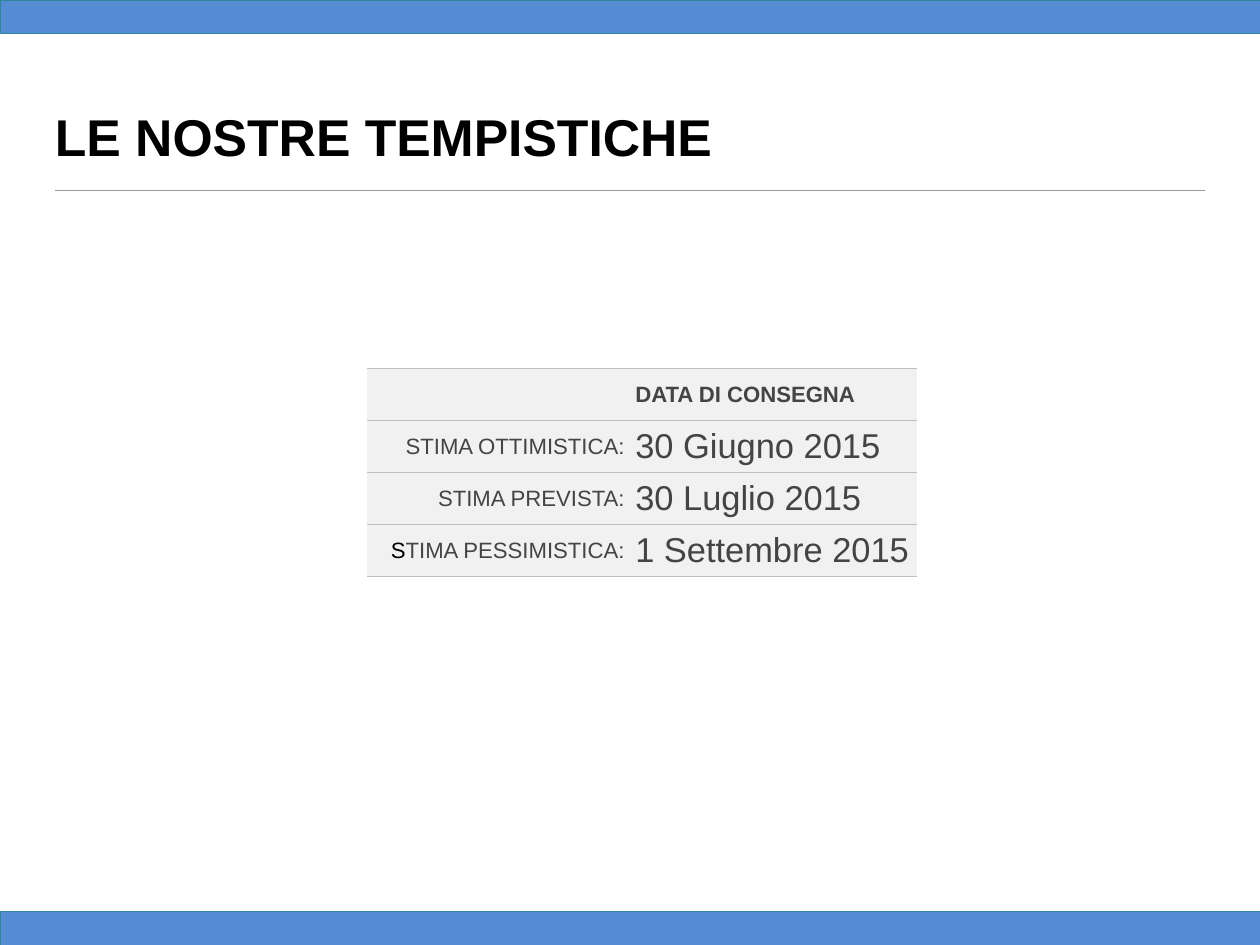
from lxml.etree import SubElement
from pptx import Presentation
from pptx.dml.color import RGBColor
from pptx.enum.shapes import MSO_CONNECTOR as Connector, MSO_SHAPE as Shape
from pptx.enum.text import MSO_ANCHOR as Anchor, PP_ALIGN as Align
from pptx.oxml.ns import qn
from pptx.util import Inches, Pt

BLACK = RGBColor(0x00, 0x00, 0x00)
TEXT_GREY = RGBColor(0x44, 0x44, 0x44)
RULE_GREY = RGBColor(0x9A, 0x9A, 0x9A)
BORDER_GREY = RGBColor(0xC0, 0xC0, 0xC0)
CELL_GREY = RGBColor(0xF1, 0xF1, 0xF1)
BAR_BLUE = RGBColor(0x54, 0x8D, 0xD4)
BAR_EDGE = RGBColor(0x31, 0x84, 0x9B)

LABEL = {"size": Pt(18), "bold": False, "color": TEXT_GREY}
HEADER = {**LABEL, "bold": True}
DATE = {**LABEL, "size": Pt(28)}
TITLE = {"size": Pt(42), "bold": True, "color": BLACK}


class SlideBuilder:
    """Draws on one slide; lengths are percentages of the slide's size."""

    font_name = "Arial"
    cell_margin = Inches(0.06)

    def __init__(self, presentation):
        self.width = presentation.slide_width
        self.height = presentation.slide_height
        self.slide = presentation.slides.add_slide(presentation.slide_layouts[6])
        self.shapes = self.slide.shapes

    def across(self, share):
        return round(self.width * share / 100)

    def down(self, share):
        return round(self.height * share / 100)

    def box(self, left, top, width, height):
        return self.across(left), self.down(top), self.across(width), self.down(height)

    def set_margins(self, holder, margin):
        for side in ("left", "top", "right", "bottom"):
            setattr(holder, f"margin_{side}", margin)

    def add_runs(self, paragraph, runs, align=Align.LEFT):
        paragraph.alignment = align
        for text, style in runs:
            run = paragraph.add_run()
            run.text = text
            run.font.name = self.font_name
            for attribute, value in style.items():
                if attribute == "color":
                    run.font.color.rgb = value
                else:
                    setattr(run.font, attribute, value)

    def bar(self, top, height):
        shape = self.shapes.add_shape(Shape.RECTANGLE, *self.box(0, top, 100, height))
        shape.shadow.inherit = False
        shape.fill.solid()
        shape.fill.fore_color.rgb = BAR_BLUE
        shape.line.color.rgb = BAR_EDGE
        shape.line.width = Pt(0.75)

    def rule(self, left, top, width):
        y = self.down(top)
        line = self.shapes.add_connector(
            Connector.STRAIGHT, self.across(left), y, self.across(left + width), y)
        line.line.color.rgb = RULE_GREY
        line.line.width = Pt(1)
        SubElement(line.element.spPr, qn("a:effectLst"))

    def title(self, text, *area):
        frame = self.shapes.add_textbox(*self.box(*area)).text_frame
        frame.word_wrap = True
        frame.vertical_anchor = Anchor.BOTTOM
        self.set_margins(frame, 0)
        self.add_runs(frame.paragraphs[0], [(text, TITLE)])

    def borders(self, cell):
        properties = cell._tc.get_or_add_tcPr()
        for side in "LRTB":
            line = SubElement(properties, qn(f"a:ln{side}"), w=str(Pt(1)))
            if side in "LR":
                SubElement(line, qn("a:noFill"))
            else:
                fill = SubElement(line, qn("a:solidFill"))
                SubElement(fill, qn("a:srgbClr"), val=str(BORDER_GREY))

    def table(self, rows, left, top, column_widths, row_height):
        area = self.box(left, top, sum(column_widths), row_height * len(rows))
        table = self.shapes.add_table(len(rows), len(column_widths), *area).table
        for column, width in zip(table.columns, column_widths):
            column.width = self.across(width)
        for row, contents in zip(table.rows, rows):
            row.height = self.down(row_height)
            for cell, runs, align in zip(row.cells, contents, (Align.RIGHT, Align.LEFT)):
                self.borders(cell)
                cell.fill.solid()
                cell.fill.fore_color.rgb = CELL_GREY
                cell.vertical_anchor = Anchor.MIDDLE
                self.set_margins(cell, self.cell_margin)
                self.add_runs(cell.text_frame.paragraphs[0], runs, align)


presentation = Presentation()
presentation.slide_width = Inches(14.22)
presentation.slide_height = Inches(10.67)
builder = SlideBuilder(presentation)

# Heading
MARGIN = 4.36
CONTENT_WIDTH = 100 - 2 * MARGIN
builder.rule(MARGIN, 20.15, CONTENT_WIDTH)
builder.title("LE NOSTRE TEMPISTICHE", MARGIN, 3.37, CONTENT_WIDTH, 14.34)

# Delivery estimates
estimates = [
    ([("STIMA OTTIMISTICA:", LABEL)], "30 Giugno 2015"),
    ([("STIMA PREVISTA:", LABEL)], "30 Luglio 2015"),
    ([("S", {**LABEL, "color": BLACK}), ("TIMA PESSIMISTICA:", LABEL)], "1 Settembre 2015"),
]
rows = [([], [("DATA DI CONSEGNA", HEADER)])]
rows += [(label, [(date, DATE)]) for label, date in estimates]
builder.table(rows, left=29.11, top=38.99, column_widths=(20.89, 22.78), row_height=5.5)

# Bottom and top bars
BAR_HEIGHT = 3.56
for bar_top in (100 - BAR_HEIGHT, 0):
    builder.bar(bar_top, BAR_HEIGHT)

presentation.save("out.pptx")
